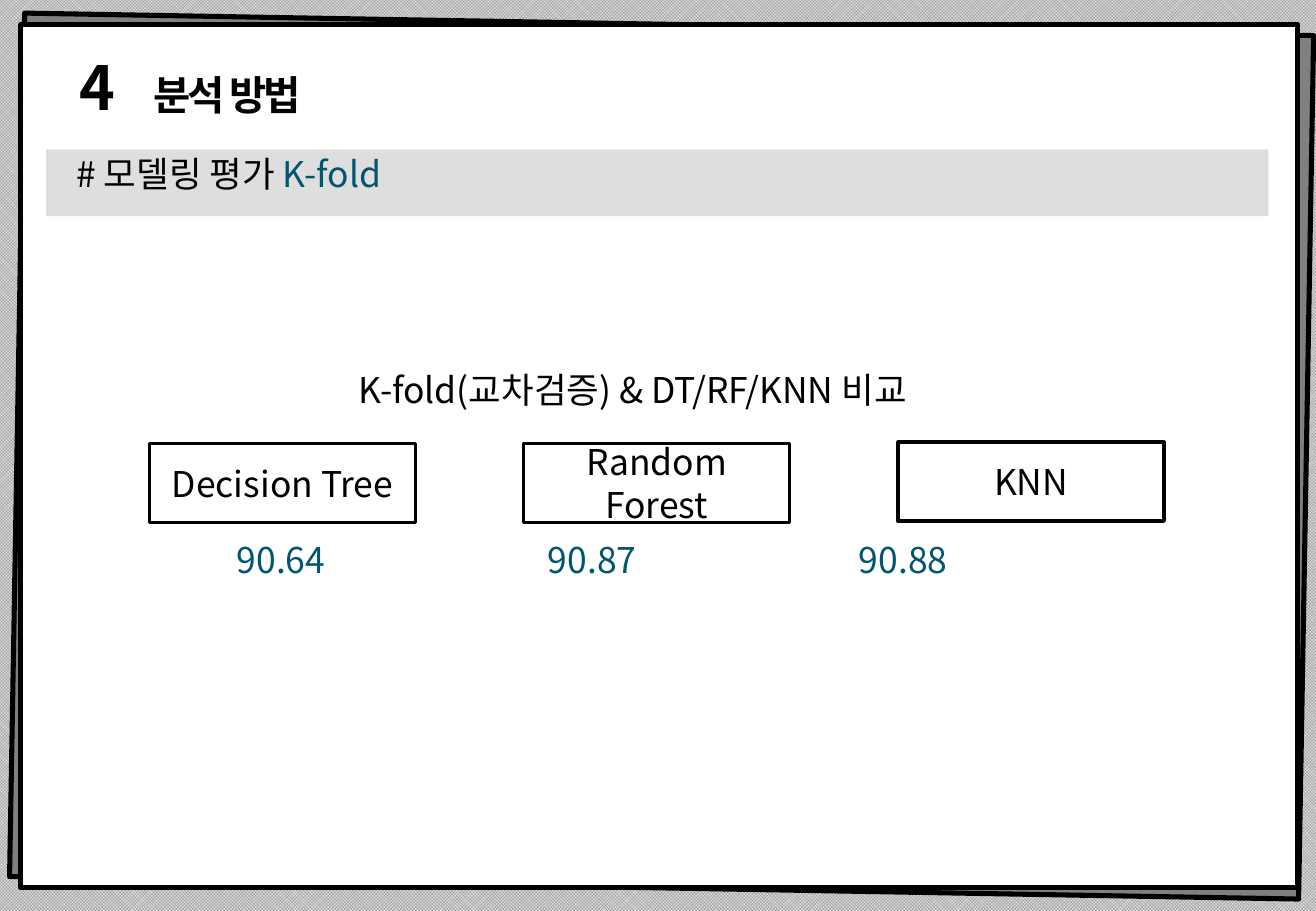
from lxml.etree import SubElement
from pptx import Presentation
from pptx.dml.color import RGBColor
from pptx.enum.dml import MSO_PATTERN as Pattern
from pptx.enum.shapes import MSO_SHAPE as Shape
from pptx.enum.text import MSO_ANCHOR as Anchor, PP_ALIGN as Align
from pptx.oxml.ns import qn
from pptx.util import Inches, Pt

FONT = "Noto Sans CJK KR"
BLACK, TEAL = "000000", "00566E"
rgb = RGBColor.from_string

deck = Presentation()
deck.slide_width, deck.slide_height = Inches(10.83), Inches(7.5)
slide = deck.slides.add_slide(deck.slide_layouts[6])


def add_rect(x, y, w, h, fill=None, line=None):
    box = slide.shapes.add_shape(Shape.RECTANGLE, Inches(x), Inches(y), Inches(w), Inches(h))
    box.shadow.inherit = False
    if fill:
        box.fill.solid()
        box.fill.fore_color.rgb = rgb(fill)
    else:
        box.fill.background()
    if line:
        box.line.color.rgb = rgb(BLACK)
        box.line.width = Pt(line)
    else:
        box.line.fill.background()
    return box


def write(box, text, size=21, color=BLACK, bold=False, align=Align.LEFT):
    box.text_frame.word_wrap = True
    para = box.text_frame.paragraphs[0]
    para.alignment = align
    para.add_run().text = text
    font = para.font
    font.name, font.size, font.bold = FONT, Pt(size), bold
    font.color.rgb = rgb(color)
    SubElement(font._rPr, qn("a:ea")).set("typeface", FONT)
    return para


# Checked background and stacked paper sheets
back = slide.background.fill
back.patterned()
back.pattern = Pattern.SMALL_CHECKER_BOARD
back.fore_color.rgb = rgb("808080")
back.back_color.rgb = rgb("D9D9D9")
add_rect(0.14, 0.2, 10.61, 7.11, "808080", 3).rotation = 1
add_rect(0.17, 0.2, 10.51, 7.11, "FFFFFF", 3)

# Half-transparent band behind the subtitle
band = add_rect(0.38, 1.23, 10.06, 0.55, "BFBFBF")
tint = band.fill._xPr.find(".//" + qn("a:srgbClr"))
SubElement(tint, qn("a:alpha")).set("val", "50000")

# Section title and number
for text, size, align, gap, place in (
    ("분석 방법", 24, Align.LEFT, 1.5, (1.14, 0.32, 4.14, 0.67)),
    ("4", 36, Align.RIGHT, 1.0, (0.39, 0.35, 0.68, 0.72)),
):
    box = slide.shapes.add_textbox(*map(Inches, place))
    frame = box.text_frame
    frame.margin_left = frame.margin_right = Inches(0.12)
    frame.margin_top = frame.margin_bottom = Inches(0.06)
    para = write(box, text, size, bold=True, align=align)
    para.line_spacing, para.space_before = gap, Pt(6)
    para.font._rPr.set("spc", "-150")

# Subtitle
box = slide.shapes.add_textbox(Inches(0.53), Inches(1.2), Inches(9.04), Inches(0.45))
run = write(box, "# 모델링 평가").add_run()
run.text = " K-fold"
run.font.color.rgb = rgb(TEAL)

# Comparison heading
box = slide.shapes.add_textbox(Inches(2.85), Inches(2.98), Inches(5.91), Inches(0.45))
write(box, "K-fold(교차검증) & DT/RF/KNN 비교")

# Model boxes
for i, (model, top) in enumerate((("Decision Tree", 3.65), ("Random Forest", 3.65), ("KNN", 3.64))):
    box = add_rect(1.23 + 3.08 * i, top, 2.19, 0.65, line=2)
    box.text_frame.vertical_anchor = Anchor.MIDDLE
    write(box, model, align=Align.CENTER)

# Scores, set apart by tab stops
box = slide.shapes.add_textbox(Inches(1.85), Inches(4.38), Inches(7.91), Inches(0.45))
para = write(box, "90.64\t90.87\t90.88", color=TEAL)
props = para._p.get_or_add_pPr()
tabs = SubElement(props, qn("a:tabLst"))
for i in (1, 2):
    tab = SubElement(tabs, qn("a:tab"))
    tab.set("pos", str(Inches(2.56 * i)))
    tab.set("algn", "l")
props.insert(0, tabs)

deck.save("out.pptx")
